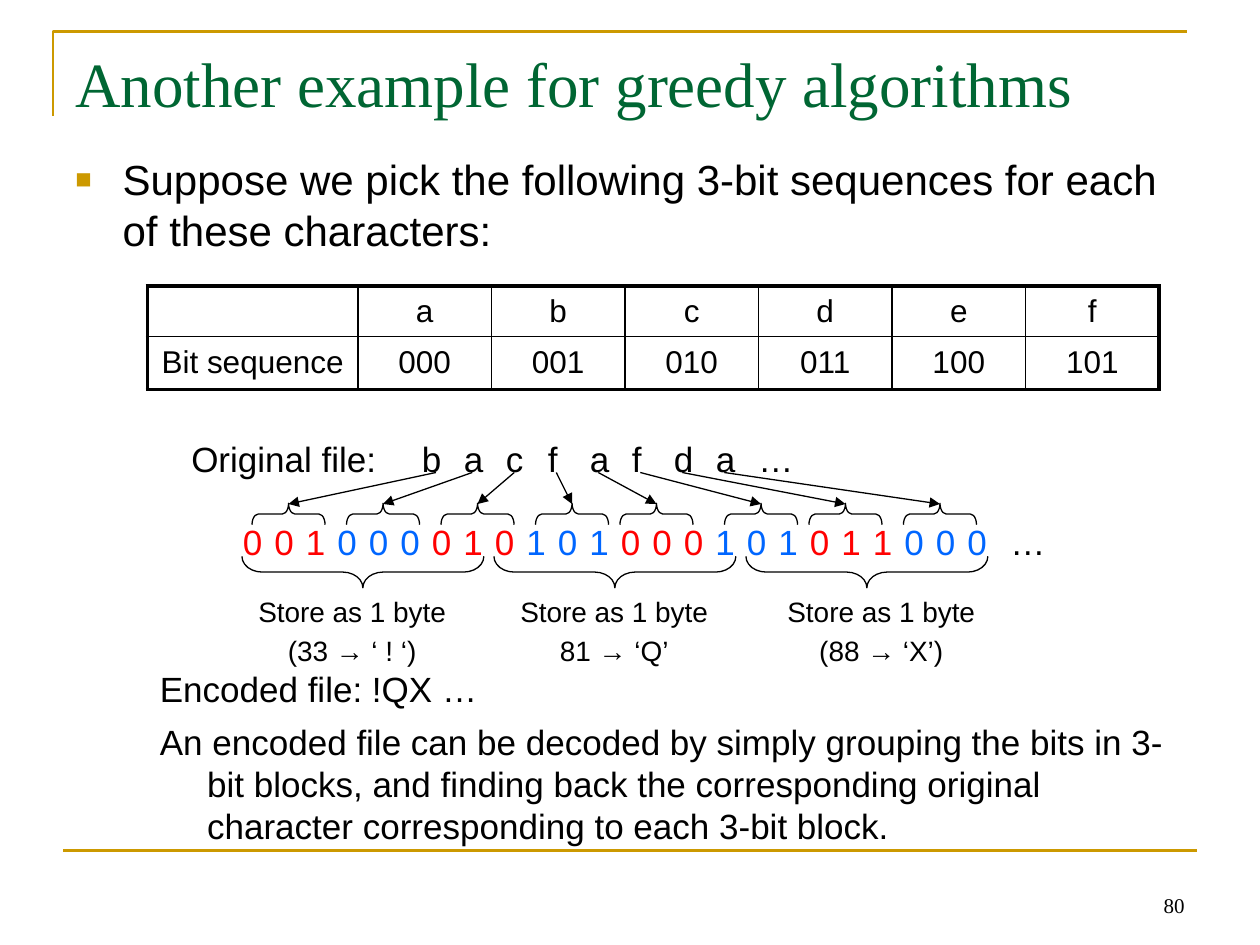
from dataclasses import dataclass
from typing import Any

from lxml.etree import SubElement
from pptx import Presentation
from pptx.dml.color import RGBColor
from pptx.enum.shapes import MSO_CONNECTOR as Link, MSO_SHAPE as Preset
from pptx.enum.text import MSO_ANCHOR as Anchor, PP_ALIGN as Align
from pptx.oxml.ns import qn
from pptx.util import Inches, Pt

COLORS = {"ink": "000000", "title": "006633", "gold": "CC9900",
          "red": "FF0101", "blue": "0066FF"}
CODES = {"a": "000", "b": "001", "c": "010", "d": "011", "e": "100", "f": "101"}
MESSAGE = "bacfafda"
HANGING = 0.375


def child(parent, tag, **attributes):
    """Append one DrawingML element."""
    return SubElement(parent, qn(tag), attributes)


@dataclass
class SlideBuilder:
    """Holds the style and the slide, and draws each kind of element."""
    slide: Any
    font: str = "Arial"

    def color(self, name):
        """Look up a named colour."""
        return RGBColor.from_string(COLORS[name])

    def fill_paragraph(self, paragraph, words, size, color="ink", font=None,
                       align=Align.LEFT, hanging=HANGING, spaced=True, bullet=None):
        """Fill a paragraph with one styled run."""
        paragraph.alignment = align
        props = paragraph._p.get_or_add_pPr()
        if hanging:
            props.set("marL", str(Inches(hanging)))
            props.set("indent", str(-Inches(hanging)))
        if spaced:
            child(child(props, "a:spcBef"), "a:spcPct", val="20000")
        if bullet:
            child(child(props, "a:buClr"), "a:srgbClr", val=COLORS["gold"])
            child(props, "a:buSzPct", val="65000")
            child(props, "a:buFont", typeface=self.font)
            child(props, "a:buChar", char=bullet)
        run = paragraph.add_run()
        run.text = words
        run.font.size = Pt(size)
        run.font.name = font or self.font
        run.font.color.rgb = self.color(color)

    def text(self, left, top, width, height, lines, size, anchor=Anchor.TOP, **style):
        """Place a wrapped text box with one paragraph per line."""
        frame = self.slide.shapes.add_textbox(
            Inches(left), Inches(top), Inches(width), Inches(height)).text_frame
        frame.word_wrap = True
        frame.vertical_anchor = anchor
        for index, words in enumerate(lines):
            paragraph = frame.add_paragraph() if index else frame.paragraphs[0]
            self.fill_paragraph(paragraph, words, size, **style)

    def line(self, start, end, color="ink", width=0.75, arrow=False):
        """Draw a straight line, with an arrowhead if asked."""
        link = self.slide.shapes.add_connector(
            Link.STRAIGHT, *(Inches(value) for value in (*start, *end)))
        link.line.color.rgb = self.color(color)
        link.line.width = Pt(width)
        if arrow:
            child(link.line._get_or_add_ln(), "a:tailEnd", type="triangle")
        child(link._element.spPr, "a:effectLst")

    def outline(self, shape, color, width):
        """Leave a shape unfilled with a plain line."""
        shape.shadow.inherit = False
        shape.fill.background()
        shape.line.color.rgb = self.color(color)
        shape.line.width = Pt(width)

    def corner(self, points):
        """Draw the open frame around the title."""
        (x, y), *rest = [(Inches(x), Inches(y)) for x, y in points]
        outline = self.slide.shapes.build_freeform(x, y)
        outline.add_line_segments(rest, close=False)
        self.outline(outline.convert_to_shape(), "gold", 1.5)

    def brace(self, center, middle, depth, span, rotation, curve):
        """Draw a turned brace centred on a point."""
        shape = self.slide.shapes.add_shape(
            Preset.LEFT_BRACE, Inches(center - depth / 2), Inches(middle - span / 2),
            Inches(depth), Inches(span))
        shape.rotation = rotation
        shape.adjustments[0] = curve
        self.outline(shape, "ink", 0.75)

    def border(self, cell, side, width):
        """Set one edge of a table cell."""
        edge = child(cell._tc.get_or_add_tcPr(), f"a:{side}", w=str(Pt(width)))
        child(child(edge, "a:solidFill"), "a:srgbClr", val=COLORS["ink"])

    def table(self, left, top, widths, heights, rows):
        """Draw a ruled table with a heavy outer frame."""
        grid = self.slide.shapes.add_table(
            len(rows), len(widths), Inches(left), Inches(top),
            Inches(sum(widths)), Inches(sum(heights))).table
        grid.first_row = grid.horz_banding = False
        for column, width in zip(grid.columns, widths):
            column.width = Inches(width)
        for r, (row, height) in enumerate(zip(rows, heights)):
            grid.rows[r].height = Inches(height)
            for c, words in enumerate(row):
                cell = grid.cell(r, c)
                cell.vertical_anchor = Anchor.MIDDLE
                outer = {"lnL": c == 0, "lnR": c == len(widths) - 1,
                         "lnT": r == 0, "lnB": r == len(rows) - 1}
                for side, heavy in outer.items():
                    self.border(cell, side, 2.25 if heavy else 1)
                cell.fill.background()
                if words:
                    self.fill_paragraph(cell.text_frame.paragraphs[0], words, 18,
                                        align=Align.CENTER, hanging=0)


def main():
    """Build the slide and save it."""
    deck = Presentation()
    deck.slide_width, deck.slide_height = Inches(10), Inches(7.5)
    page = SlideBuilder(deck.slides.add_slide(deck.slide_layouts[6]))

    page.corner([(0.42, 0.92), (0.42, 0.25), (9.42, 0.25)])
    page.line((0.5, 6.75), (9.5, 6.75), "gold", 1.5)
    serif = {"font": "Times New Roman", "hanging": 0, "spaced": False}
    page.text(7.17, 6.83, 2.33, 0.5, ["80"], 12, Anchor.BOTTOM, align=Align.RIGHT, **serif)
    page.text(0.5, 0.3, 9, 1.25, ["Another example for greedy algorithms"], 36,
              color="title", **serif)
    page.text(0.5, 1.17, 9, 4.95,
              ["Suppose we pick the following 3-bit sequences for each of these characters:"],
              24, bullet="■")
    page.table(1.17, 2.27, [1.67] + [1.06] * len(CODES), [0.4, 0.42],
               [["", *CODES], ["Bit sequence", *CODES.values()]])

    page.text(1.42, 3.42, 2.17, 0.5, ["Original file:"], 20)
    brace_centers = [2.29, 3.04, 3.79, 4.54, 5.21, 6.04, 6.71, 7.46]
    for index, (letter, center) in enumerate(zip(MESSAGE, brace_centers)):
        letter_left = 3.25 + index / 3
        letter_width = 0.33 if index else 0.42
        page.text(letter_left, 3.42, letter_width, 0.33, [letter], 20)
        for place, bit in enumerate(CODES[letter]):
            page.text(1.83 + 0.25 * (3 * index + place), 4.08, 0.33, 0.5, [bit], 20,
                      color="blue" if index % 2 else "red")
        page.brace(center, 4.08, 0.17, 0.58, 90, 0.29)
        page.line((letter_left + letter_width / 2, 3.75), (center, 4), arrow=True)
    for left, top in ((5.92, 3.42), (7.92, 4.08)):
        page.text(left, top, 0.58, 0.33, ["…"], 20)

    stored_bytes = [(1.92, 1.75, "(33 → ‘ ! ‘)"), (4, 1.75, "81 → ‘Q’"),
                    (6.08, 1.83, "(88 → ‘X’)")]
    for index, (left, width, value) in enumerate(stored_bytes):
        page.brace(2.88 + 2 * index, 4.54, 0.25, 1.92, 270, 0.64)
        page.text(left, 4.67, width, 0.5, ["Store as 1 byte", value], 16, align=Align.CENTER)

    page.text(1.17, 5.25, 3.33, 0.5, ["Encoded file: !QX …"], 20)
    page.text(1.17, 5.67, 8.25, 0.5,
              ["An encoded file can be decoded by simply grouping the bits in 3-bit blocks, "
               "and finding back the corresponding original character corresponding to each "
               "3-bit block."], 20)
    deck.save("out.pptx")


if __name__ == "__main__":
    main()
